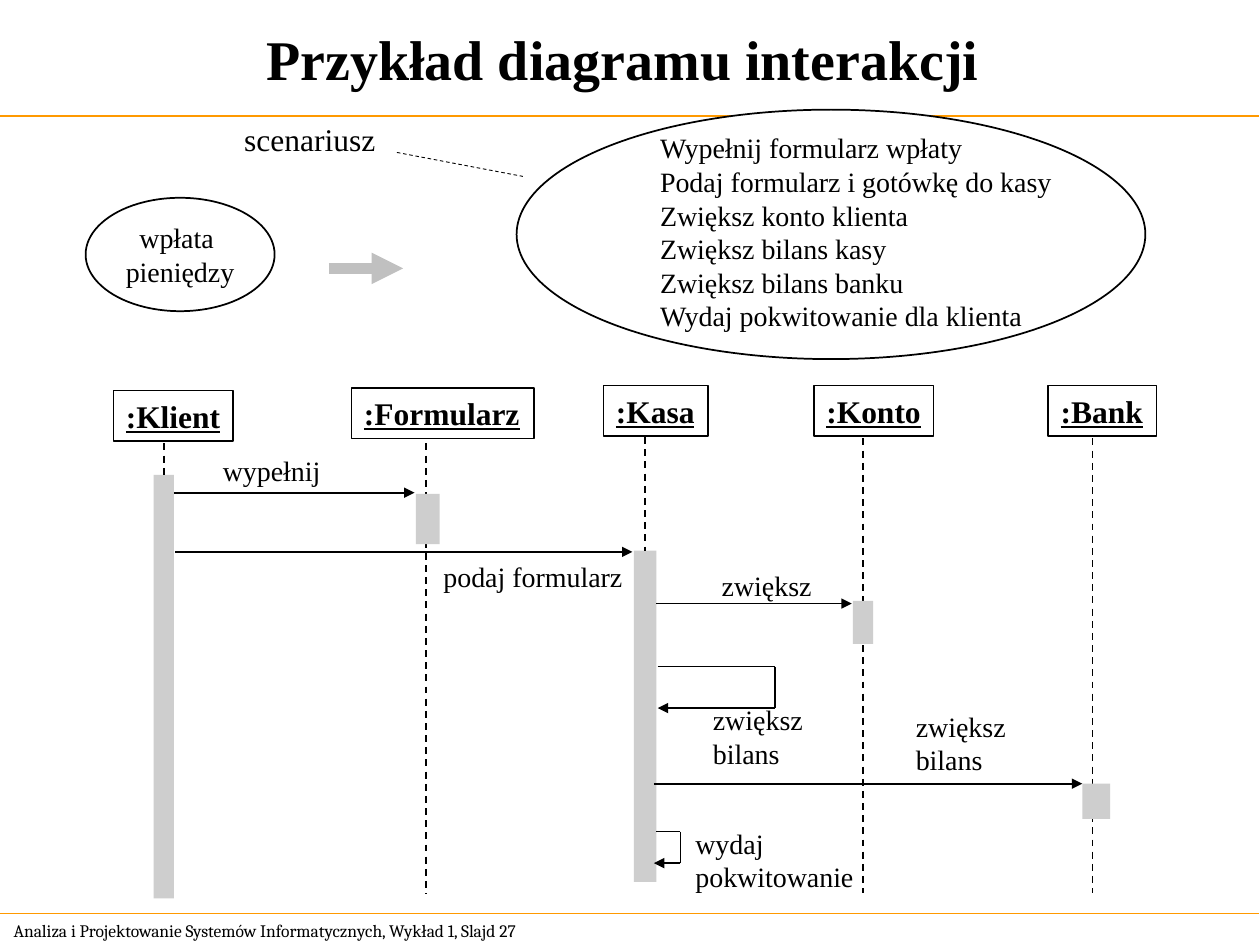
from lxml import etree
from pptx import Presentation
from pptx.dml.color import RGBColor
from pptx.enum.dml import MSO_LINE
from pptx.enum.shapes import MSO_CONNECTOR, MSO_SHAPE
from pptx.enum.text import MSO_ANCHOR, MSO_AUTO_SIZE, PP_ALIGN
from pptx.oxml.ns import qn
from pptx.util import Inches, Pt

BLACK, WHITE, ORANGE = "000000", "FFFFFF", "FF9900"
BAR_GRAY, ARROW_GRAY = "CECECE", "C0C0C0"
SERIF = "Times New Roman"
LIFELINE_END = 7.09

# name: (box left, box top, box width)
PARTICIPANTS = {
    ":Klient": (0.9, 3.1, 0.95),
    ":Formularz": (2.79, 3.08, 1.45),
    ":Kasa": (4.79, 3.06, 0.83),
    ":Konto": (6.46, 3.06, 0.95),
    ":Bank": (8.32, 3.06, 0.86),
}
# (x, top) of lifelines that run to the bottom of the diagram
LONG_LIFELINES = [(3.38, 3.52), (6.85, 3.48), (8.67, 3.48)]
# (x, top, bar left, bar top, bar width, bar height): lifeline ends on its bar
SHORT_LIFELINES = [
    (1.3, 3.52, 1.22, 3.77, 0.16, 3.36),
    (5.12, 3.47, 5.03, 4.37, 0.18, 2.63),
]
# (left, top, width, height) of the bars over the long lifelines
ACTIVATIONS = [
    (3.3, 3.92, 0.19, 0.4),
    (6.77, 4.77, 0.16, 0.34),
    (8.59, 6.22, 0.22, 0.28),
]
# (start x, end x, y)
MESSAGES = [
    (1.38, 3.29, 3.91),
    (1.39, 5.02, 4.38),
    (5.21, 6.76, 4.79),
    (5.19, 8.59, 6.22),
]
# (start x, right x, end x, top, bottom)
SELF_MESSAGES = [(5.22, 6.15, 5.22, 5.29, 5.62), (5.21, 5.4, 5.19, 6.6, 6.85)]
# (text, left, top, width, height)
LABELS = [
    ("wypełnij", 1.67, 3.55, 1, 0.37),
    ("podaj formularz", 3.42, 4.39, 1.65, 0.37),
    ("zwiększ", 5.63, 4.46, 0.94, 0.37),
    ("zwiększ\nbilans", 7.17, 5.58, 0.94, 0.64),
    ("zwiększ\nbilans", 5.56, 5.53, 0.94, 0.64),
    ("wydaj\npokwitowanie", 5.42, 6.51, 1.48, 0.64),
]
SCENARIO = """Wypełnij formularz wpłaty
Podaj formularz i gotówkę do kasy
Zwiększ konto klienta
Zwiększ bilans kasy
Zwiększ bilans banku
Wydaj pokwitowanie dla klienta"""


def color(hex_string):
    return RGBColor.from_string(hex_string)


def write_text(shape, text, size=16, font=SERIF, bold=False, underline=False,
               align=PP_ALIGN.LEFT, anchor=MSO_ANCHOR.TOP, wrap=False, grow=True):
    frame = shape.text_frame
    frame.text = text
    frame.word_wrap = wrap
    frame.vertical_anchor = anchor
    frame.auto_size = MSO_AUTO_SIZE.SHAPE_TO_FIT_TEXT if grow else MSO_AUTO_SIZE.NONE
    for paragraph in frame.paragraphs:
        paragraph.alignment = align
        for run in paragraph.runs:
            run.font.size = Pt(size)
            run.font.name = font
            run.font.bold = bold
            run.font.underline = underline
            run.font.color.rgb = color(BLACK)


def add_text(slide, text, left, top, width, height, **text_format):
    box = slide.shapes.add_textbox(
        Inches(left), Inches(top), Inches(width), Inches(height))
    write_text(box, text, **text_format)


def add_box(slide, kind, left, top, width, height, fill=None, line=None):
    shape = slide.shapes.add_shape(
        kind, Inches(left), Inches(top), Inches(width), Inches(height))
    shape.shadow.inherit = False
    if fill:
        shape.fill.solid()
        shape.fill.fore_color.rgb = color(fill)
    else:
        shape.fill.background()
    if line:
        shape.line.color.rgb = color(line)
        shape.line.width = Pt(1)
    else:
        shape.line.fill.background()
    return shape


def add_line(slide, x1, y1, x2, y2, line=BLACK, width=1, dashed=False, arrow=False):
    connector = slide.shapes.add_connector(
        MSO_CONNECTOR.STRAIGHT, Inches(x1), Inches(y1), Inches(x2), Inches(y2))
    connector.line.color.rgb = color(line)
    connector.line.width = Pt(width)
    if dashed:
        connector.line.dash_style = MSO_LINE.DASH
    if arrow:
        outline = connector.line._get_or_add_ln()
        etree.SubElement(outline, qn("a:tailEnd"), type="triangle")
    etree.SubElement(connector._element.spPr, qn("a:effectLst"))
    return connector


def add_bar(slide, *position):
    return add_box(slide, MSO_SHAPE.RECTANGLE, *position, fill=BAR_GRAY)


def add_self_message(slide, start, right, end, top, bottom):
    add_line(slide, start, top, right, top)
    add_line(slide, right, top, right, bottom)
    add_line(slide, right, bottom, end, bottom, arrow=True)


def add_frame(slide):
    add_text(slide, "Analiza i Projektowanie Systemów Informatycznych, Wykład 1, Slajd 27",
             0.01, 7.25, 4.75, 0.27, size=10, font="Cambria",
             anchor=MSO_ANCHOR.MIDDLE, wrap=True)
    for y in (0.92, 7.25):
        add_line(slide, -0.01, y, 9.99, y, line=ORANGE, width=0.75)
    add_text(slide, "Przykład diagramu interakcji ", 0, 0, 10, 0.92, size=32, bold=True,
             align=PP_ALIGN.CENTER, anchor=MSO_ANCHOR.MIDDLE, wrap=True, grow=False)


def add_scenario(slide):
    use_case = add_box(slide, MSO_SHAPE.OVAL, 0.68, 1.57, 1.5, 0.9, line=BLACK)
    write_text(use_case, "wpłata \npieniędzy", align=PP_ALIGN.CENTER)
    add_line(slide, 2.61, 2.13, 3.2, 2.13, line=ARROW_GRAY, width=6, arrow=True)
    add_box(slide, MSO_SHAPE.OVAL, 4.1, 0.87, 4.99, 1.98, fill=WHITE, line=BLACK)
    add_text(slide, SCENARIO, 5.14, 0.99, 3.76, 1.7, wrap=True)
    add_text(slide, "scenariusz", 1.84, 0.9, 1.26, 0.4, size=18)
    add_line(slide, 3.15, 1.21, 4.15, 1.4, width=0.5, dashed=True)


def add_sequence(slide):
    # Participants
    for name, (left, top, width) in PARTICIPANTS.items():
        box = add_box(slide, MSO_SHAPE.RECTANGLE, left, top, width, 0.4, line=BLACK)
        write_text(box, name, size=18, bold=True, underline=True)

    # Lifelines and activation bars
    for x, top in LONG_LIFELINES:
        add_line(slide, x, top, x, LIFELINE_END, dashed=True)
    for x, top, *bar_position in SHORT_LIFELINES:
        bar = add_bar(slide, *bar_position)
        lifeline = add_line(slide, x, top, x, bar_position[1], dashed=True)
        lifeline.end_connect(bar, 0)
    for position in ACTIVATIONS:
        add_bar(slide, *position)

    # Messages and their labels
    for start, end, y in MESSAGES:
        add_line(slide, start, y, end, y, arrow=True)
    for self_message in SELF_MESSAGES:
        add_self_message(slide, *self_message)
    for text, *position in LABELS:
        add_text(slide, text, *position)


def main():
    presentation = Presentation()
    presentation.slide_width = Inches(10)
    presentation.slide_height = Inches(7.5)
    slide = presentation.slides.add_slide(presentation.slide_layouts[6])
    add_frame(slide)
    add_scenario(slide)
    add_sequence(slide)
    presentation.save("out.pptx")


if __name__ == "__main__":
    main()
